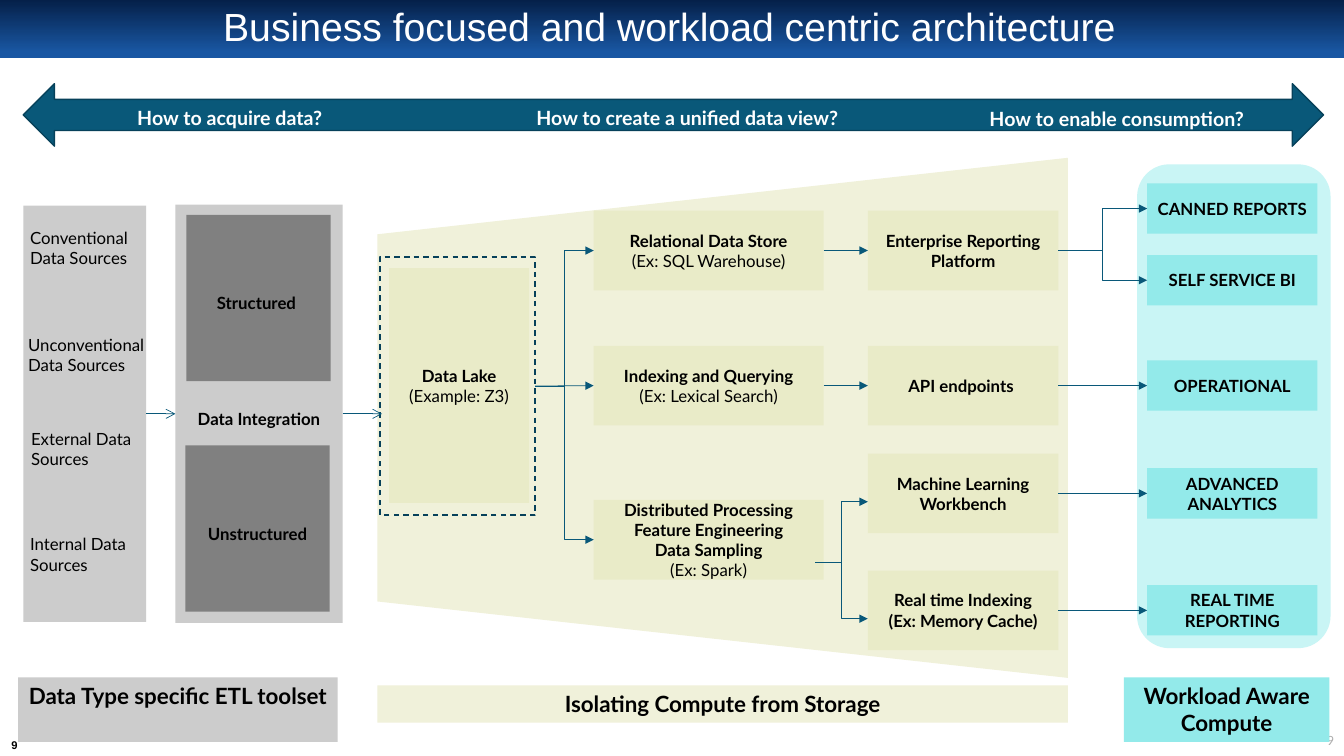
from typing import NamedTuple

from lxml.etree import SubElement
from pptx import Presentation
from pptx.dml.color import RGBColor
from pptx.enum.dml import MSO_LINE
from pptx.enum.shapes import MSO_CONNECTOR, MSO_SHAPE
from pptx.enum.text import MSO_ANCHOR, PP_ALIGN
from pptx.oxml.ns import qn
from pptx.util import Pt

COLORS = {
    "navy": "052049", "blue": "1957A3", "teal": "095879", "edge": "07415A",
    "cream": "F0F1DA", "olive": "E9EBC8", "mist": "C9F5F5", "aqua": "93EAEA",
    "silver": "CCCCCC", "gray": "808080", "pale": "ACACAC",
    "white": "FFFFFF", "black": "000000",
}
RIGHT_SIDE, LEFT_SIDE = 3, 1


class Box(NamedTuple):
    """A rectangle in points."""
    left: float
    top: float
    width: float
    height: float

    def inside(self, dx, dy, width, height):
        """Return a box offset from this one's corner."""
        return Box(self.left + dx, self.top + dy, width, height)

    def lengths(self):
        """Return the four lengths for python-pptx."""
        return [Pt(length) for length in self]


def rgb(name):
    """Look up a colour."""
    return RGBColor.from_string(COLORS[name])


def write(shape, text, size=12, color="black", bold=True, plain_tail=0,
          align=PP_ALIGN.CENTER, spacing=None, font="Lato"):
    """Fill a shape with text, its last plain_tail lines not bold."""
    shape.text_frame.text = text
    lines = shape.text_frame.paragraphs
    for index, line in enumerate(lines):
        line.alignment = align
        line.line_spacing = spacing
        for run in line.runs:
            run.font.name = font
            run.font.size = Pt(size)
            run.font.bold = bold and index < len(lines) - plain_tail
            run.font.color.rgb = rgb(color)


def block(slide, box, fill=None, text="", kind=MSO_SHAPE.RECTANGLE,
          anchor=MSO_ANCHOR.MIDDLE, **style):
    """Draw a flat shape with optional text."""
    shape = slide.shapes.add_shape(kind, *box.lengths())
    shape.shadow.inherit = False
    shape.line.fill.background()
    if fill:
        shape.fill.solid()
        shape.fill.fore_color.rgb = rgb(fill)
    else:
        shape.fill.background()
    if text:
        shape.text_frame.vertical_anchor = anchor
        write(shape, text, **style)
    return shape


def label(slide, box, text, wrap=True, anchor=MSO_ANCHOR.TOP, **style):
    """Add a text box."""
    caption = slide.shapes.add_textbox(*box.lengths())
    caption.text_frame.word_wrap = wrap
    caption.text_frame.vertical_anchor = anchor
    write(caption, text, **style)
    return caption


def arrow(slide, start, end, head="triangle", kind=MSO_CONNECTOR.STRAIGHT):
    """Draw a thin arrow between two points."""
    link = slide.shapes.add_connector(kind, *(Pt(n) for n in (*start, *end)))
    link.line.color.rgb = rgb("teal")
    link.line.width = Pt(0.5)
    properties = link.element.spPr
    SubElement(properties.find(qn("a:ln")), qn("a:tailEnd"), type=head)
    SubElement(properties, qn("a:effectLst"))
    return link


def side(shape, site):
    """Return the middle of a shape's left or right side in points."""
    x = shape.left + (shape.width if site == RIGHT_SIDE else 0)
    return Pt(x).pt / 12700, (shape.top + shape.height / 2) / 12700


def join(slide, source, target, head="triangle"):
    """Join two shapes with a straight arrow from right to left side."""
    link = arrow(slide, side(source, RIGHT_SIDE), side(target, LEFT_SIDE), head)
    link.begin_connect(source, RIGHT_SIDE)
    link.end_connect(target, LEFT_SIDE)


def header(slide, box):
    """Place the title on its gradient band."""
    band = block(slide, box, "navy")
    band.fill.gradient()
    band.fill.gradient_angle = 270
    for stop, color, position in zip(band.fill.gradient_stops,
                                     ("navy", "blue"), (0, 0.9)):
        stop.color.rgb = rgb(color)
        stop.position = position
    title = slide.shapes.title
    title.element.addprevious(band.element)
    title.left, title.top, title.width, title.height = box.inside(
        47.5, 4.3, 861, 32.4).lengths()
    title.text_frame.vertical_anchor = MSO_ANCHOR.MIDDLE
    write(title, "Business focused and workload centric architecture", 28,
          "white", bold=False, spacing=0.9, font="Arial")


def page_numbers(slide, box):
    """Place the page number in both bottom corners."""
    corner = label(slide, box.inside(1.4, 5.8, 18, 13.7), "9", wrap=False,
                   anchor=MSO_ANCHOR.MIDDLE, size=8, font="Arial")
    frame = corner.text_frame
    frame.margin_left = frame.margin_right = 0
    frame.margin_top = frame.margin_bottom = 0
    label(slide, box.inside(box.width - 216, 0, 216, 18.7), "9",
          anchor=MSO_ANCHOR.MIDDLE, size=9, color="pale", bold=False,
          align=PP_ALIGN.RIGHT)


def questions(slide, box):
    """Draw the double arrow with its three questions."""
    span = block(slide, box, "teal", kind=MSO_SHAPE.LEFT_RIGHT_ARROW)
    span.line.color.rgb = rgb("edge")
    span.line.width = Pt(1)
    for dx, dy, width, question in (
            (69.8, 12.2, 155.5, "How to acquire data?"),
            (352, 12.2, 244.8, "How to create a unified data view?"),
            (676.8, 12.9, 208.8, "How to enable consumption?")):
        label(slide, box.inside(dx, dy, width, 24.5), question, wrap=False,
              size=14, color="white")


def acquisition(slide, box):
    """Draw sources and integration; return the integration panel."""
    sources = block(slide, box.inside(3.6, 0.7, 87.8, 297.4), "silver")
    integration = block(slide, box.inside(112.3, 0, 119.5, 298.8), "silver",
                        "Data Integration", spacing=1.5)
    for dx, dy, form in ((120.2, 7.2, "Structured "),
                         (119.5, 172, "Unstructured")):
        block(slide, box.inside(dx, dy, 103, 118.8), "gray", form, spacing=1.5)
    for dx, dy, origin in ((1.4, 12.9, "Conventional"),
                           (0, 89.2, "Unconventional"),
                           (2.1, 156.2, "External"),
                           (1.4, 231.8, "Internal")):
        label(slide, box.inside(dx, dy, 104.4, 36), f"{origin} Data Sources",
              bold=False, align=PP_ALIGN.LEFT)
    join(slide, sources, integration, "arrow")
    block(slide, box.inside(0, 337.6, 228.2, 46.1), "silver",
          "Data Type specific ETL toolset", anchor=MSO_ANCHOR.TOP, size=16)
    return integration


def compute(slide, box):
    """Draw the data lake, stores and platforms; return the platforms."""
    depth = 371.5
    funnel = block(slide, box.inside((box.width - depth) / 2,
                                     (depth - box.width) / 2, depth, box.width),
                   "cream", kind=MSO_SHAPE.TRAPEZOID)
    funnel.adjustments[0] = 0.147
    funnel.rotation = 270
    block(slide, box.inside(8.3, 78.8, 100.1, 167.8), "olive",
          "Data Lake\n(Example: Z3)", plain_tail=1)
    lake = block(slide, box.inside(1.8, 70.9, 110.9, 184.3))
    lake.line.color.rgb = rgb("edge")
    lake.line.width = Pt(1)
    lake.line.dash_style = MSO_LINE.DASH
    relational, indexing, distributed = [
        block(slide, box.inside(154.5, dy, 164.2, 56.9), "olive", text,
              plain_tail=1)
        for dy, text in (
            (37.8, "Relational Data Store\n(Ex: SQL Warehouse)"),
            (134.3, "Indexing and Querying\n(Ex: Lexical Search)"),
            (244.4, "Distributed Processing\nFeature Engineering\n"
                    "Data Sampling\n(Ex: Spark)"))]
    platforms = [
        block(slide, box.inside(350.3, dy, 136.1, 56.9), "olive", text)
        for dy, text in (
            (37.8, "Enterprise Reporting Platform"),
            (134.3, "API endpoints "),
            (211.3, "Machine Learning Workbench"),
            (294.8, "Real time Indexing\n(Ex: Memory Cache)"))]
    join(slide, lake, indexing)
    for store in (relational, distributed):
        arrow(slide, side(lake, RIGHT_SIDE), side(store, LEFT_SIDE),
              kind=MSO_CONNECTOR.ELBOW)
    join(slide, relational, platforms[0])
    join(slide, indexing, platforms[1])
    for platform in platforms[2:]:
        x, y = side(platform, LEFT_SIDE)
        arrow(slide, (box.left + 312.9, box.top + 289.1), (x, y + 6),
              kind=MSO_CONNECTOR.ELBOW)
    block(slide, box.inside(0, 376.9, box.width, 26.6), "cream",
          "Isolating Compute from Storage", anchor=MSO_ANCHOR.TOP, size=16)
    return platforms


def consumption(slide, box):
    """Draw the workloads panel; return the workloads."""
    block(slide, box.inside(9.4, 0, 138.2, 345.6), "mist",
          kind=MSO_SHAPE.ROUNDED_RECTANGLE)
    block(slide, box.inside(0, 366.4, 146.9, 46.1), "aqua",
          "Workload Aware Compute", anchor=MSO_ANCHOR.TOP, size=16)
    return [block(slide, box.inside(16.6, dy, 121.7, 36), "aqua", text)
            for dy, text in ((13.6, "CANNED REPORTS"),
                             (64.8, "SELF SERVICE BI"),
                             (140.05, "OPERATIONAL"),
                             (217.05, "ADVANCED ANALYTICS"),
                             (300.55, "REAL TIME REPORTING"))]


def main():
    """Build the slide."""
    deck = Presentation()
    deck.slide_width, deck.slide_height = Pt(960), Pt(540)
    slide = deck.slides.add_slide(deck.slide_layouts[5])
    header(slide, Box(0, 0, 960, 41.8))
    page_numbers(slide, Box(0, 519.8, 960, 20.2))
    questions(slide, Box(16.6, 59.8, 928.8, 44.6))
    integration = acquisition(slide, Box(13, 146.2, 231.8, 383.7))
    platforms = compute(slide, Box(269.6, 112.7, 493.2, 403.5))
    workloads = consumption(slide, Box(802.8, 117.4, 147.6, 412.5))
    x, y = side(integration, RIGHT_SIDE)
    feed = arrow(slide, (x, y), (x + 28.1, y), "arrow")
    feed.begin_connect(integration, RIGHT_SIDE)
    for report in workloads[:2]:
        arrow(slide, side(platforms[0], RIGHT_SIDE), side(report, LEFT_SIDE),
              kind=MSO_CONNECTOR.ELBOW)
    for platform, workload in zip(platforms[1:], workloads[2:]):
        join(slide, platform, workload)
    deck.save("out.pptx")


if __name__ == "__main__":
    main()
